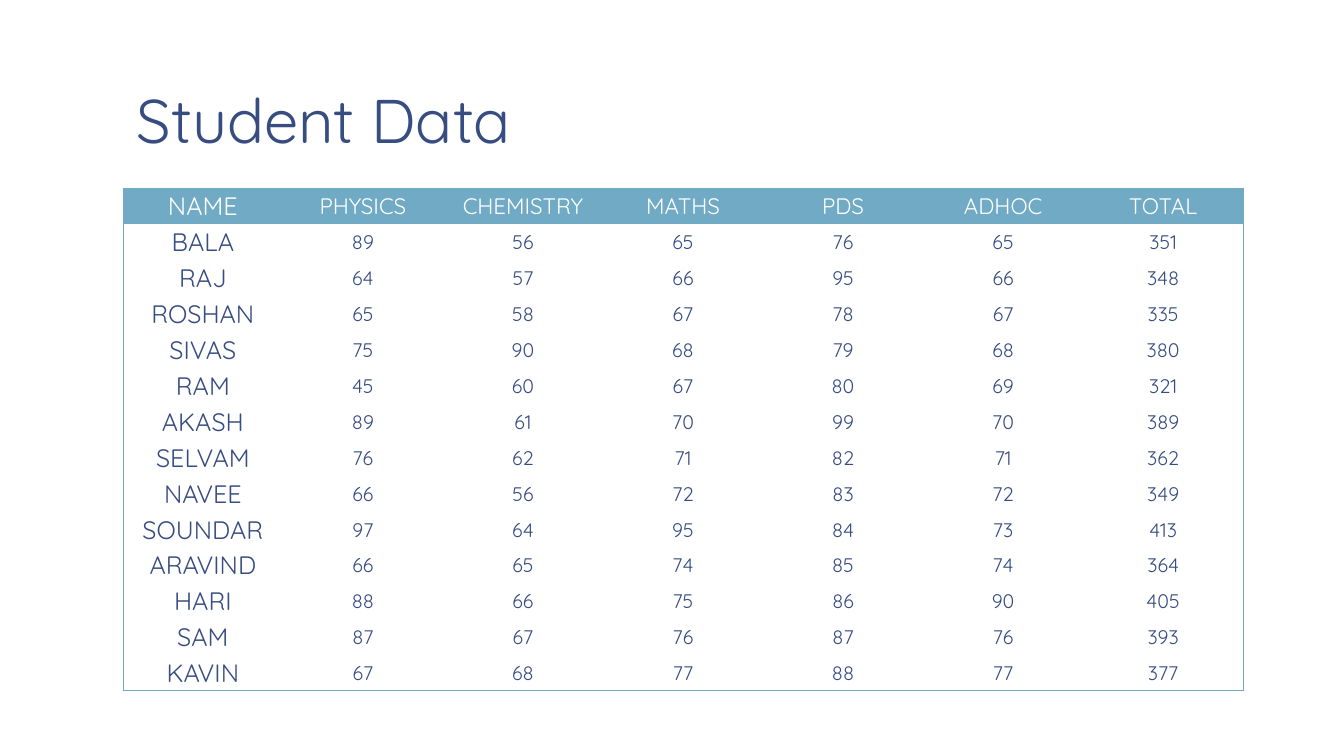
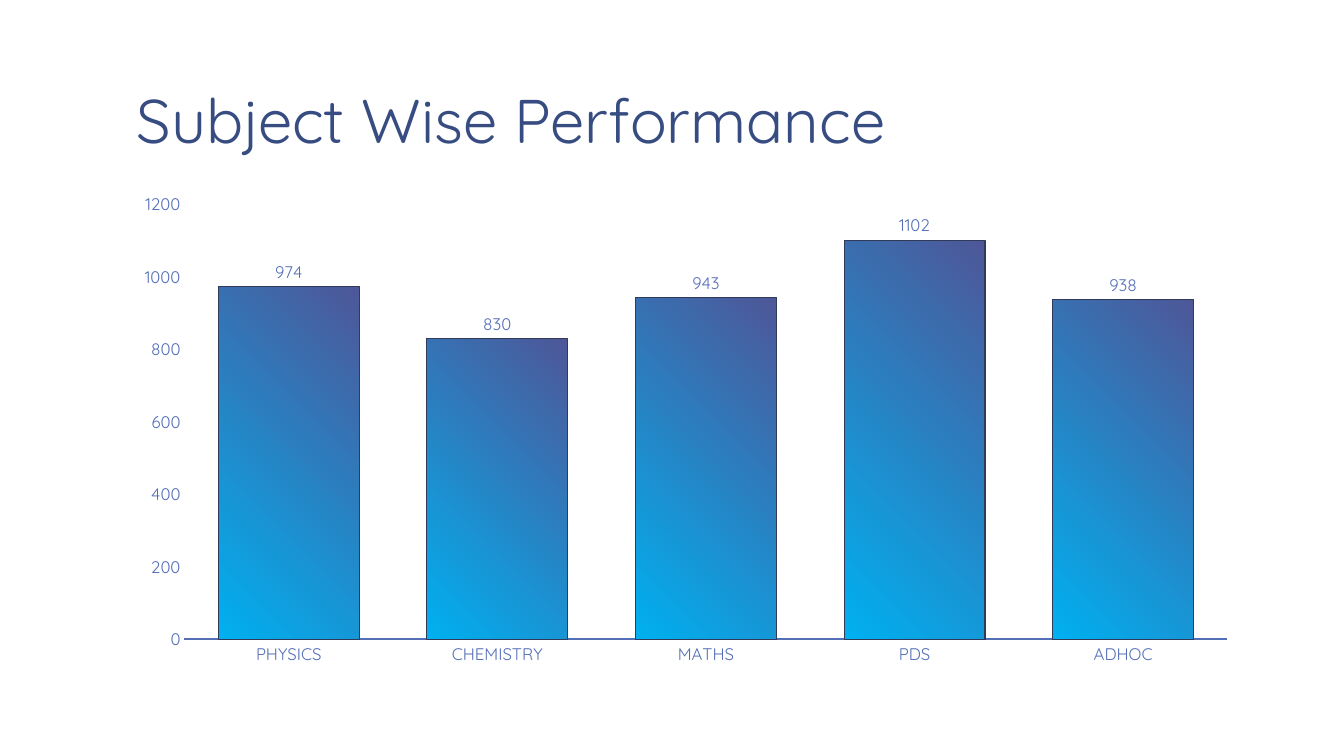
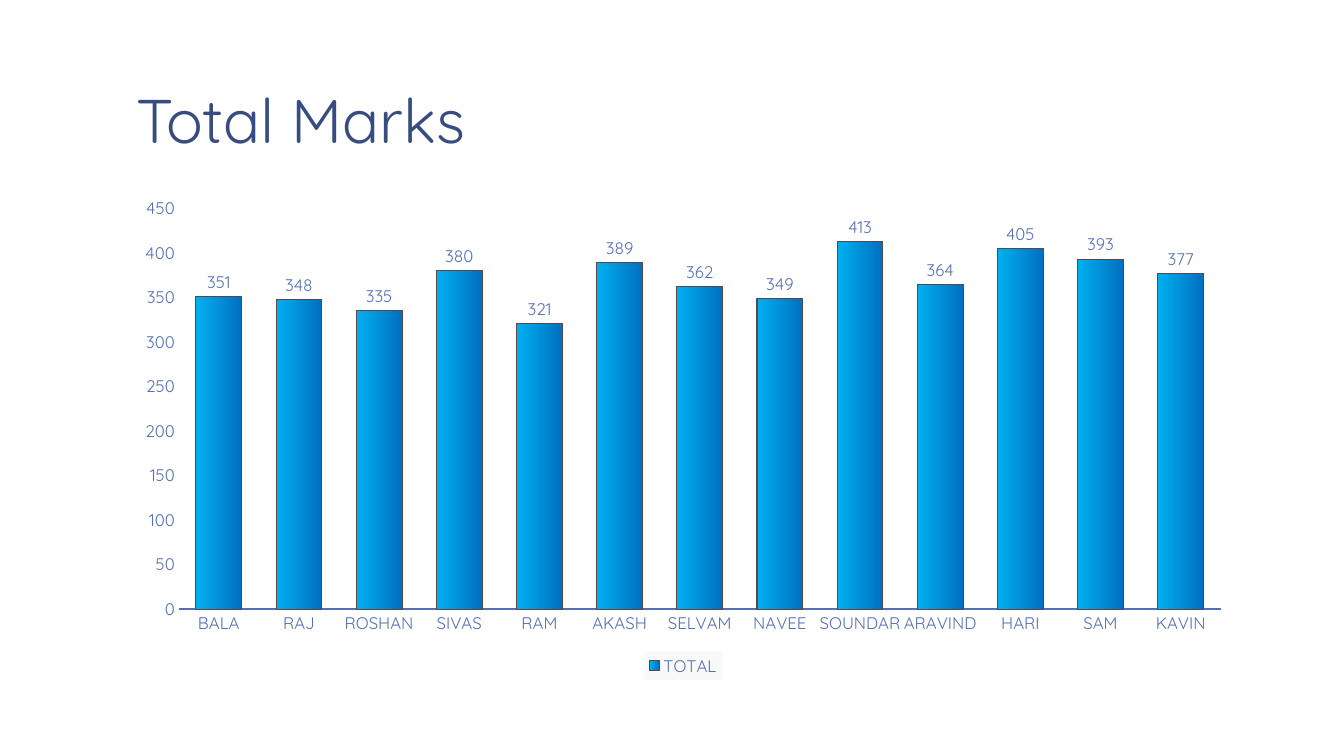
"""Build three slides of student marks: a table and two column charts."""
from dataclasses import dataclass
from typing import Optional

from lxml import etree
from pptx import Presentation
from pptx.chart.data import CategoryChartData
from pptx.dml.color import RGBColor
from pptx.enum.chart import XL_CHART_TYPE, XL_LABEL_POSITION, XL_LEGEND_POSITION, XL_TICK_MARK
from pptx.enum.text import MSO_ANCHOR, MSO_AUTO_SIZE, PP_ALIGN
from pptx.oxml.ns import qn
from pptx.util import Emu, Pt

COLUMNS = XL_CHART_TYPE.COLUMN_CLUSTERED
OUTSIDE = XL_LABEL_POSITION.OUTSIDE_END
BELOW = XL_LEGEND_POSITION.BOTTOM
NO_TICK = XL_TICK_MARK.NONE
BOTTOM, MIDDLE = MSO_ANCHOR.BOTTOM, MSO_ANCHOR.MIDDLE
NO_FIT = MSO_AUTO_SIZE.NONE
LEFT, CENTER = PP_ALIGN.LEFT, PP_ALIGN.CENTER

PX = 9525
FONT = "Quicksand"
COLORS = {
    "text": "374C81",
    "axis": "546FB6",
    "header": "70AAC4",
    "white": "FFFFFF",
    "legend": "F9F9F9",
    "sky": "00B0F0",
    "violet": "4E5798",
    "blue": "0070C0",
    "navy": "313A59",
    "brown": "5E4545",
}


@dataclass(frozen=True)
class Box:
    """A place on the slide in px."""

    left: int
    top: int
    width: int
    height: int

    def emu(self) -> tuple:
        """Return left, top, width and height in EMU."""
        return tuple(px(n) for n in (self.left, self.top, self.width, self.height))


@dataclass(frozen=True)
class Student:
    """A student and the marks in each subject."""

    name: str
    marks: tuple

    @property
    def total(self) -> int:
        """Return the sum of the marks."""
        return sum(self.marks)


@dataclass(frozen=True)
class ColumnChart:
    """The data and look of one column chart."""

    title: str
    series: str
    categories: tuple
    values: tuple
    gap: int
    top_value: int
    step: int
    end_color: str
    outline: str
    legend: bool = False
    diagonal: bool = False
    plot_area: Optional[tuple] = None


TITLE_BOX = Box(117, 8, 1067, 147)
TABLE_BOX = Box(117, 179, 1067, 479)
CHART_BOX = Box(117, 179, 1067, 469)

SUBJECTS = ("PHYSICS", "CHEMISTRY", "MATHS", "PDS", "ADHOC")
STUDENTS = (
    Student("BALA", (89, 56, 65, 76, 65)),
    Student("RAJ", (64, 57, 66, 95, 66)),
    Student("ROSHAN", (65, 58, 67, 78, 67)),
    Student("SIVAS", (75, 90, 68, 79, 68)),
    Student("RAM", (45, 60, 67, 80, 69)),
    Student("AKASH", (89, 61, 70, 99, 70)),
    Student("SELVAM", (76, 62, 71, 82, 71)),
    Student("NAVEE", (66, 56, 72, 83, 72)),
    Student("SOUNDAR", (97, 64, 95, 84, 73)),
    Student("ARAVIND", (66, 65, 74, 85, 74)),
    Student("HARI", (88, 66, 75, 86, 90)),
    Student("SAM", (87, 67, 76, 87, 76)),
    Student("KAVIN", (67, 68, 77, 88, 77)),
)
CHARTS = (
    ColumnChart(
        "Subject Wise Performance", "Series 1", SUBJECTS,
        tuple(sum(marks) for marks in zip(*(s.marks for s in STUDENTS))),
        gap=48, top_value=1200, step=200, end_color="violet", outline="navy",
        diagonal=True, plot_area=(0.055, 0.034, 0.931, 0.883),
    ),
    ColumnChart(
        "Total Marks", "TOTAL",
        tuple(s.name for s in STUDENTS), tuple(s.total for s in STUDENTS),
        gap=75, top_value=450, step=50, end_color="blue", outline="brown",
        legend=True,
    ),
)


def px(n: float) -> Emu:
    """Turn px into EMU."""
    return Emu(round(n * PX))


def rgb(name: str) -> RGBColor:
    """Return a named colour."""
    return RGBColor.from_string(COLORS[name])


def set_font(font, size: int, color: str) -> None:
    """Set the face, size and colour of a font."""
    font.name = FONT
    font.size = Pt(size)
    font.bold = False
    font.color.rgb = rgb(color)


def add_solid(parent, color: str) -> None:
    """Add a solid fill to an XML element."""
    fill = etree.SubElement(parent, qn("a:solidFill"))
    etree.SubElement(fill, qn("a:srgbClr"), val=COLORS[color])


def add_slide(prs, title: str):
    """Add a slide with the shared title style."""
    s = prs.slides.add_slide(prs.slide_layouts[5])
    sp = s.shapes.title
    sp.left, sp.top, sp.width, sp.height = TITLE_BOX.emu()
    tf = sp.text_frame
    tf.text = title
    tf.auto_size = NO_FIT
    tf.word_wrap = True
    tf.vertical_anchor = BOTTOM
    tf.margin_left = tf.margin_right = px(13)
    tf.margin_top = tf.margin_bottom = px(6)
    p = tf.paragraphs[0]
    p.alignment = LEFT
    p.line_spacing = 0.85
    set_font(p.runs[0].font, 44, "text")
    return s


def set_borders(cell, edges: dict) -> None:
    """Draw the sides of a cell that are true in edges and clear the others."""
    tc_pr = cell._tc.get_or_add_tcPr()
    for side, shown in edges.items():
        ln = etree.SubElement(tc_pr, qn(f"a:ln{side}"), w=str(Pt(0.5)))
        if shown:
            add_solid(ln, "header")
        else:
            etree.SubElement(ln, qn("a:noFill"))


def set_cell(cell, text: str, size: int, header: bool) -> None:
    """Write and format one table cell."""
    cell.text = text
    cell.vertical_anchor = MIDDLE
    cell.margin_left = cell.margin_right = cell.margin_top = px(1)
    cell.margin_bottom = 0
    if header:
        cell.fill.solid()
        cell.fill.fore_color.rgb = rgb("header")
    else:
        cell.fill.background()
    p = cell.text_frame.paragraphs[0]
    p.alignment = CENTER
    set_font(p.runs[0].font, size, "white" if header else "text")


def add_marks_table(s) -> None:
    """Add the table of marks and totals."""
    rows = [("NAME", *SUBJECTS, "TOTAL")]
    rows += [(st.name, *st.marks, st.total) for st in STUDENTS]
    last_row, last_col = len(rows) - 1, len(rows[0]) - 1
    table = s.shapes.add_table(len(rows), len(rows[0]), *TABLE_BOX.emu()).table
    table.first_row = table.horz_banding = False
    for col in table.columns:
        col.width = px(TABLE_BOX.width / len(rows[0]))
    for i, row in enumerate(rows):
        table.rows[i].height = px(TABLE_BOX.height / len(rows))
        for j, value in enumerate(row):
            cell = table.cell(i, j)
            edges = {"L": j == 0, "R": j == last_col, "T": i == 0, "B": i == last_row}
            set_borders(cell, edges)
            size = 18 if j == 0 else 16 if i == 0 else 14
            set_cell(cell, str(value), size, header=i == 0)


def set_axes(chart, top_value: int, step: int) -> None:
    """Format both axes of a chart."""
    for axis in (chart.category_axis, chart.value_axis):
        axis.has_major_gridlines = False
        axis.major_tick_mark = axis.minor_tick_mark = NO_TICK
        set_font(axis.tick_labels.font, 12, "axis")
    line = chart.category_axis.format.line
    line.color.rgb = rgb("axis")
    line.width = Pt(1.5)
    axis = chart.value_axis
    axis.format.line.fill.background()
    axis.minimum_scale, axis.maximum_scale = 0, top_value
    axis.major_unit = step


def set_columns(plot, spec_: ColumnChart) -> None:
    """Format the columns and their labels."""
    plot.gap_width = spec_.gap
    plot.vary_by_categories = False
    series = plot.series[0]
    fill = series.format.fill
    fill.gradient()
    fill.gradient_angle = 0
    for stop, color in zip(fill.gradient_stops, ("sky", spec_.end_color)):
        stop.color.rgb = rgb(color)
    if spec_.diagonal:
        lin = series._element.find(f".//{qn('a:lin')}")
        circle = etree.Element(qn("a:path"), attrib={"path": "circle"})
        etree.SubElement(circle, qn("a:fillToRect"), t="100000", r="100000")
        lin.getparent().replace(lin, circle)
    series.format.line.color.rgb = rgb(spec_.outline)
    series.format.line.width = Pt(0.75)
    labels = series.data_labels
    labels.show_value = True
    labels.position = OUTSIDE
    set_font(labels.font, 12, "axis")


def add_legend(chart) -> None:
    """Add a tinted legend below the plot."""
    chart.has_legend = True
    legend = chart.legend
    legend.position = BELOW
    legend.include_in_layout = False
    set_font(legend.font, 12, "axis")
    sp_pr = etree.Element(qn("c:spPr"))
    add_solid(sp_pr, "legend")
    legend._element.find(qn("c:txPr")).addprevious(sp_pr)


def set_plot_area(chart, fractions: tuple) -> None:
    """Fix the inner plot area as fractions of the chart."""
    area = chart._chartSpace.find(f".//{qn('c:plotArea')}")
    for old in area.findall(qn("c:layout")):
        area.remove(old)
    layout = etree.Element(qn("c:layout"))
    manual = etree.SubElement(layout, qn("c:manualLayout"))
    settings = [("layoutTarget", "inner"), ("xMode", "edge"), ("yMode", "edge")]
    settings += zip("xywh", map(str, fractions))
    for tag, value in settings:
        etree.SubElement(manual, qn(f"c:{tag}"), val=value)
    area.insert(0, layout)


def add_column_chart(s, column_chart: ColumnChart) -> None:
    """Add one column chart."""
    data = CategoryChartData()
    data.categories = column_chart.categories
    data.add_series(column_chart.series, column_chart.values)
    chart = s.shapes.add_chart(COLUMNS, *CHART_BOX.emu(), data).chart
    chart.has_title = False
    chart.has_legend = False
    set_font(chart.font, 10, "text")
    set_axes(chart, column_chart.top_value, column_chart.step)
    set_columns(chart.plots[0], column_chart)
    if column_chart.legend:
        add_legend(chart)
    if column_chart.plot_area:
        set_plot_area(chart, column_chart.plot_area)


def main() -> None:
    """Build and save the presentation."""
    prs = Presentation()
    prs.slide_width, prs.slide_height = px(1280), px(720)
    add_marks_table(add_slide(prs, "Student Data"))
    for column_chart in CHARTS:
        add_column_chart(add_slide(prs, column_chart.title), column_chart)
    prs.save("out.pptx")


if __name__ == "__main__":
    main()
